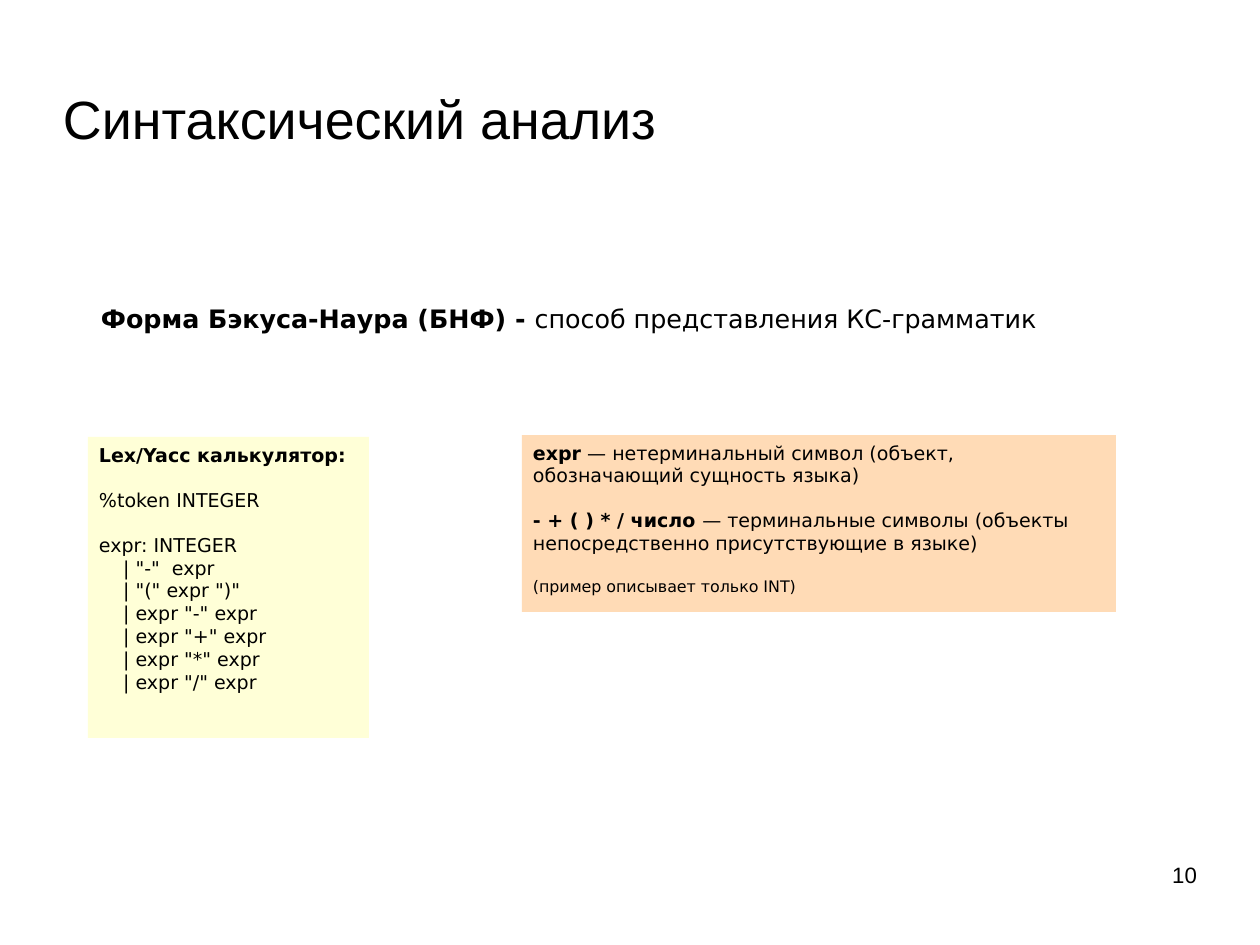
from pptx import Presentation
from pptx.dml.color import RGBColor
from pptx.enum.shapes import MSO_SHAPE
from pptx.enum.text import MSO_ANCHOR, MSO_AUTO_SIZE, PP_ALIGN
from pptx.util import Pt

EMU_PER_PX = 8000
BLACK = RGBColor(0x00, 0x00, 0x00)
PALE_YELLOW = RGBColor(0xFF, 0xFF, 0xD7)
PEACH = RGBColor(0xFF, 0xDB, 0xB6)
HEADING_FONT = "Arial"
BODY_FONT = "DejaVu Sans"
BLANK_LINE = 14

GRAMMAR_RULES = [
    'expr: INTEGER',
    '    | "-"  expr',
    '    | "(" expr ")"',
    '    | expr "-" expr',
    '    | expr "+" expr',
    '    | expr "*" expr',
    '    | expr "/" expr',
]


def px(length):
    return round(length * EMU_PER_PX)


class SlideBuilder:
    def __init__(self, presentation):
        self.slide = presentation.slides.add_slide(presentation.slide_layouts[5])

    def fill_text(self, shape, paragraphs, font, size, inset=(0, 0),
                  align=PP_ALIGN.LEFT, anchor=MSO_ANCHOR.TOP):
        """Fill a shape from (gap before, runs) pairs; a run is (text, bold[, size])."""
        frame = shape.text_frame
        frame.word_wrap = True
        frame.auto_size = MSO_AUTO_SIZE.NONE
        frame.vertical_anchor = anchor
        frame.margin_left = frame.margin_right = px(inset[0])
        frame.margin_top = frame.margin_bottom = px(inset[1])
        for index, (gap, runs) in enumerate(paragraphs):
            paragraph = frame.add_paragraph() if index else frame.paragraphs[0]
            paragraph.alignment = align
            paragraph.space_before = Pt(gap)
            for text, bold, *own_size in runs:
                run = paragraph.add_run()
                run.text = text
                run.font.name = font
                run.font.size = Pt(own_size[0] if own_size else size)
                run.font.bold = bold
                run.font.color.rgb = BLACK

    def title(self, text, left, top, width, height):
        heading = self.slide.shapes.title
        heading.left, heading.top = px(left), px(top)
        heading.width, heading.height = px(width), px(height)
        self.fill_text(heading, [(0, [(text, False)])], HEADING_FONT, 33.9,
                       anchor=MSO_ANCHOR.MIDDLE)

    def text(self, paragraphs, left, top, width, height, **style):
        box = self.slide.shapes.add_textbox(px(left), px(top), px(width), px(height))
        self.fill_text(box, paragraphs, **style)

    def panel(self, paragraphs, fill, left, top, width, height):
        panel = self.slide.shapes.add_shape(
            MSO_SHAPE.RECTANGLE, px(left), px(top), px(width), px(height))
        panel.shadow.inherit = False
        panel.fill.solid()
        panel.fill.fore_color.rgb = fill
        panel.line.fill.background()
        self.fill_text(panel, paragraphs, BODY_FONT, 12, inset=(11, 6))


def main():
    presentation = Presentation()
    presentation.slide_width, presentation.slide_height = px(1260), px(945)
    builder = SlideBuilder(presentation)

    builder.title("Синтаксический анализ", 63, 87, 693, 61)

    definition = [(0, [("Форма Бэкуса-Наура (БНФ) - ", True),
                       ("способ представления КС-грамматик", False)])]
    builder.text(definition, 90, 297, 1017, 70,
                 font=BODY_FONT, size=16, inset=(11, 6))

    calculator = [(0, [("Lex/Yacc калькулятор:", True)]),
                  (BLANK_LINE, [("%token INTEGER", False)])]
    calculator += [(0 if index else BLANK_LINE, [(rule, False)])
                   for index, rule in enumerate(GRAMMAR_RULES)]
    builder.panel(calculator, PALE_YELLOW, 88, 437, 281, 301)

    symbols = [
        (0, [("expr", True),
             (" — нетерминальный символ (объект, обозначающий сущность языка)", False)]),
        (BLANK_LINE, [("- + ( ) * / число ", True),
                      ("— терминальные символы (объекты непосредственно "
                       "присутствующие в языке)", False)]),
        (BLANK_LINE, [("(пример описывает только INT)", False, 10)]),
    ]
    builder.panel(symbols, PEACH, 522, 435, 594, 177)

    builder.text([(0, [("10", False)])], 903, 861, 294, 65,
                 font=HEADING_FONT, size=14, align=PP_ALIGN.RIGHT)

    presentation.save("out.pptx")


if __name__ == "__main__":
    main()
